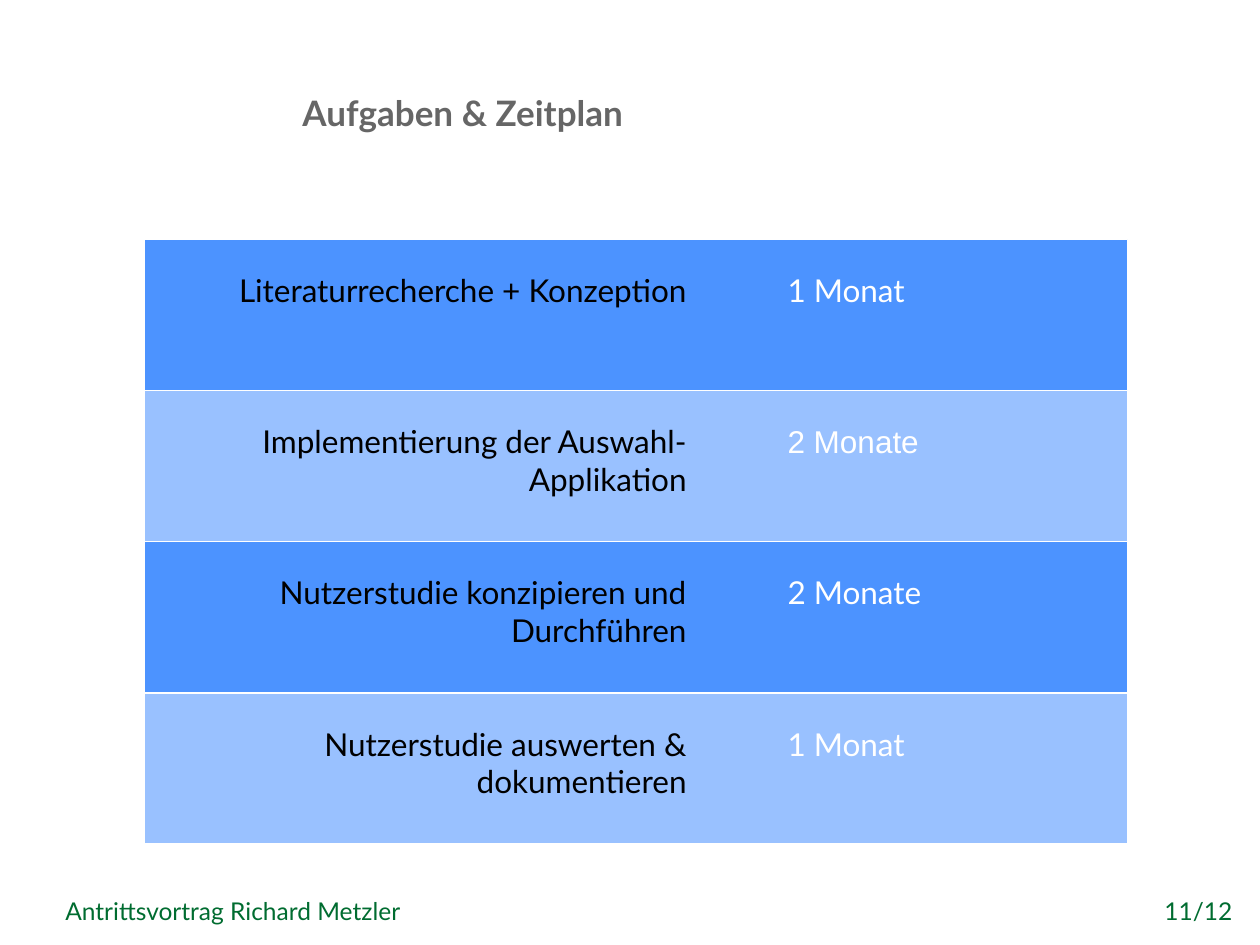
from dataclasses import dataclass

from lxml import etree
from pptx import Presentation
from pptx import util as u
from pptx.dml.color import RGBColor
from pptx.enum import shapes, text
from pptx.oxml import ns

COLORS = {"band": "0066FF", "white": "FFFFFF", "black": "000000",
          "title": "666666", "footer": "006C30"}
LEFT, TOP, WIDTH, ROW_HEIGHT = 1.15, 1.9, 7.8, 1.2
LINE_HEIGHT = 0.3  # 18 pt text on 21.6 pt lines


@dataclass
class Task:
    lines: list[str]
    duration: str
    opacity: int
    duration_font: str = "Lato"


TASKS = [
    Task(["Literaturrecherche + Konzeption"], "1 Monat", 70),
    Task(["Implementierung der Auswahl-", "Applikation"], "2 Monate", 40, "Arial"),
    Task(["Nutzerstudie konzipieren und", "Durchführen"], "2 Monate", 70),
    Task(["Nutzerstudie auswerten &", "dokumentieren"], "1 Monat", 40),
]


def place(shape, left: float, top: float, width: float, height: float):
    """Position a text shape and return its cleanly formatted frame."""
    shape.left, shape.top = u.Inches(left), u.Inches(top)
    shape.width, shape.height = u.Inches(width), u.Inches(height)
    frame = shape.text_frame
    frame.word_wrap = True
    frame.auto_size = text.MSO_AUTO_SIZE.NONE
    frame.vertical_anchor = text.MSO_ANCHOR.TOP
    return frame


def write(paragraph, content: str, *, color: str, size: int = 18, font: str = "Lato",
          bold: bool = False, align=text.PP_ALIGN.LEFT, before: float = 0) -> None:
    """Write one formatted line without a bullet."""
    run = paragraph.add_run()
    run.text = content
    run.font.name, run.font.size, run.font.bold = font, u.Pt(size), bold
    run.font.color.rgb = RGBColor.from_string(COLORS[color])
    paragraph.alignment = align
    paragraph.space_before = u.Inches(before)
    paragraph.line_spacing = u.Pt(size * 1.2)
    properties = paragraph._p.get_or_add_pPr()
    properties.set("marL", "0")
    properties.set("indent", "0")
    etree.SubElement(properties, ns.qn("a:buNone"))


def write_column(frame, entries: list[list[str]], fonts: list[str], **style) -> None:
    """Write one entry per row, spaced so that each starts in its band."""
    paragraph, gap = frame.paragraphs[0], 0
    for row, (lines, font) in enumerate(zip(entries, fonts)):
        for number, line in enumerate(lines):
            if row or number:
                paragraph = frame.add_paragraph()
            write(paragraph, line, font=font, before=0 if number else gap, **style)
        gap = ROW_HEIGHT - len(lines) * LINE_HEIGHT


def add_band(slide, row: int, opacity: int) -> None:
    band = slide.shapes.add_shape(
        shapes.MSO_SHAPE.RECTANGLE, u.Inches(LEFT), u.Inches(TOP + row * ROW_HEIGHT),
        u.Inches(WIDTH), u.Inches(ROW_HEIGHT))
    band.shadow.inherit = False
    band.fill.solid()
    band.fill.fore_color.rgb = RGBColor.from_string(COLORS["band"])
    band.line.color.rgb = RGBColor.from_string(COLORS["white"])
    band.line.width = u.Pt(0.75)
    color = band.fill._xPr.find(ns.qn("a:solidFill"))[0]
    etree.SubElement(color, ns.qn("a:alpha"), val=str(opacity * 1000))


def main() -> None:
    presentation = Presentation()
    presentation.slide_width, presentation.slide_height = u.Inches(10), u.Inches(7.5)
    slide = presentation.slides.add_slide(presentation.slide_layouts[3])
    title, task_column, duration_column = slide.placeholders

    # Row bands, kept behind the text
    for row, task in enumerate(TASKS):
        add_band(slide, row, task.opacity)
    for placeholder in (title, task_column, duration_column):
        slide.shapes._spTree.append(placeholder._element)

    # Title
    frame = place(title, 2.3, 0.68, 4.27, 0.42)
    write(frame.paragraphs[0], "Aufgaben & Zeitplan", color="title", size=20, bold=True)

    # Tasks and durations
    column_top = TOP + 0.2
    write_column(place(task_column, 1, column_top, 4.55, 4.49),
                 [task.lines for task in TASKS], ["Lato"] * len(TASKS),
                 color="black", align=text.PP_ALIGN.RIGHT)
    write_column(place(duration_column, 6.15, column_top, 2.2, 4.49),
                 [[task.duration] for task in TASKS],
                 [task.duration_font for task in TASKS], color="white")

    # Footer
    for content, left, width, align in (
            ("Antrittsvortrag Richard Metzler", 0.42, 8.45, text.PP_ALIGN.LEFT),
            ("11/12", 8.8, 1.08, text.PP_ALIGN.RIGHT)):
        frame = place(slide.shapes.add_textbox(0, 0, 0, 0), left, 7.06, width, 0.31)
        write(frame.paragraphs[0], content, color="footer", size=14, align=align)

    presentation.save("out.pptx")


if __name__ == "__main__":
    main()
